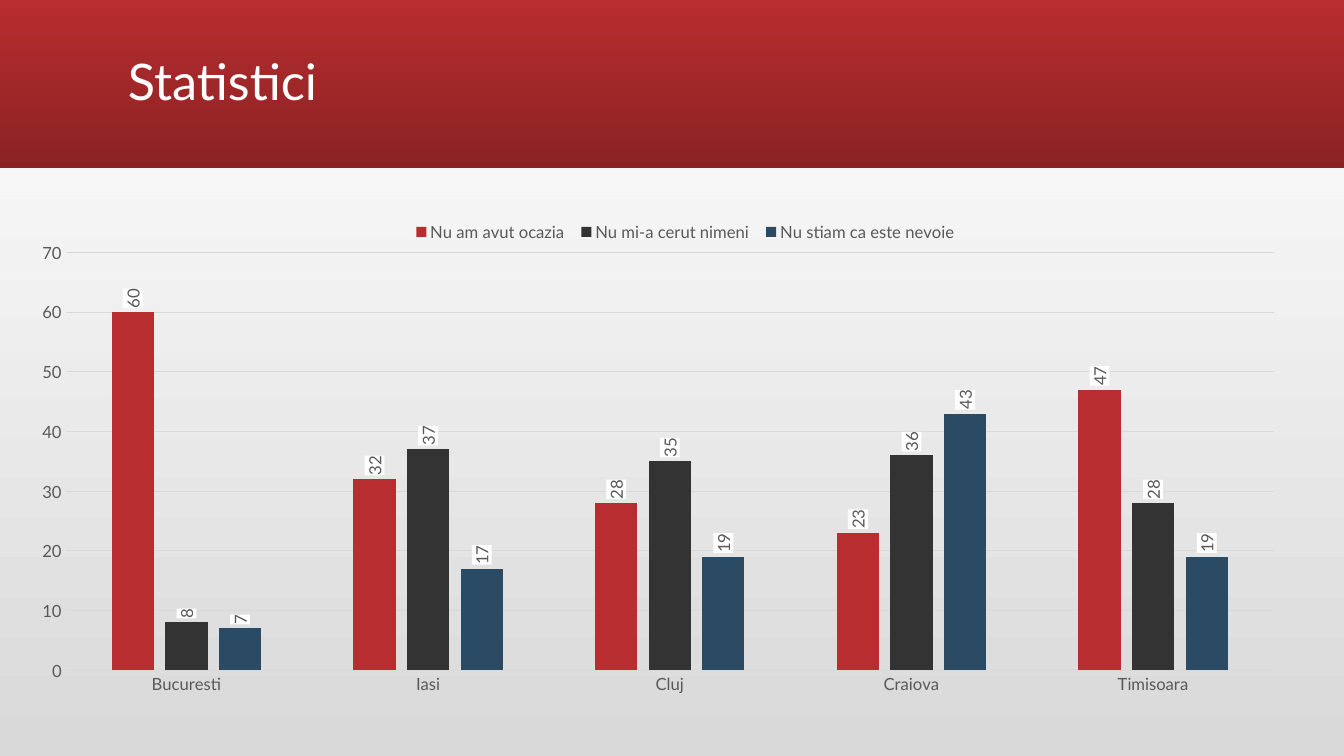
from lxml.etree import SubElement
from pptx import Presentation
from pptx.chart.data import CategoryChartData
from pptx.dml.color import RGBColor
from pptx.enum.chart import XL_CHART_TYPE, XL_LABEL_POSITION, XL_LEGEND_POSITION, XL_TICK_MARK
from pptx.enum.shapes import MSO_SHAPE
from pptx.enum.text import MSO_ANCHOR
from pptx.oxml import parse_xml
from pptx.oxml.ns import nsdecls, qn
from pptx.util import Inches, Pt

RED = RGBColor(0xB8, 0x2D, 0x2F)
DARK_RED = RGBColor(0x8A, 0x22, 0x23)
CHARCOAL = RGBColor(0x33, 0x33, 0x33)
NAVY = RGBColor(0x2B, 0x4A, 0x63)
TEXT_GRAY = RGBColor(0x59, 0x59, 0x59)
LIGHT_GRAY = RGBColor(0xD9, 0xD9, 0xD9)
WHITE = RGBColor(0xFF, 0xFF, 0xFF)

CITIES = ["Bucuresti", "Iasi", "Cluj", "Craiova", "Timisoara"]
ANSWERS = [
    ("Nu am avut ocazia", [60, 32, 28, 23, 47], RED),
    ("Nu mi-a cerut nimeni", [8, 37, 35, 36, 28], CHARCOAL),
    ("Nu stiam ca este nevoie", [7, 17, 19, 43, 19], NAVY),
]


def format_font(font, size=12, color=TEXT_GRAY, name="Lato"):
    font.size = Pt(size)
    font.name = name
    font.color.rgb = color


def add_text(frame, text, spacing=1.0, **font_format):
    paragraph = frame.paragraphs[0]
    paragraph.line_spacing = spacing
    run = paragraph.add_run()
    run.text = text
    format_font(run.font, **font_format)


def set_gradient(fill, colors, angle):
    fill.gradient()
    fill.gradient_angle = angle
    for stop, color in zip(fill.gradient_stops, colors):
        stop.color.rgb = color


def place(element, index, box, inner=False):
    for layout in element.findall(qn("c:layout")):
        element.remove(layout)
    layout = parse_xml(f"<c:layout {nsdecls('c')}/>")
    manual = SubElement(layout, qn("c:manualLayout"))
    settings = [("layoutTarget", "inner")] if inner else []
    settings += [("xMode", "edge"), ("yMode", "edge"), *zip("xywh", box)]
    for tag, value in settings:
        SubElement(manual, qn(f"c:{tag}")).set("val", str(value))
    element.insert(index, layout)


class StatisticsSlide:
    def __init__(self, presentation):
        self.slide = presentation.slides.add_slide(presentation.slide_layouts[6])
        set_gradient(self.slide.background.fill, (LIGHT_GRAY, WHITE), 90)

    def add_band(self, left, top, width, height):
        shape = self.slide.shapes.add_shape(
            MSO_SHAPE.RECTANGLE, Inches(left), Inches(top), Inches(width), Inches(height))
        shape.shadow.inherit = False
        shape.line.fill.background()
        set_gradient(shape.fill, (RED, DARK_RED), 270)

    def add_title(self, text, left, top, width, height):
        box = self.slide.shapes.add_textbox(
            Inches(left), Inches(top), Inches(width), Inches(height))
        box.text_frame.word_wrap = True
        box.text_frame.vertical_anchor = MSO_ANCHOR.MIDDLE
        add_text(box.text_frame, text, spacing=0.9, size=36, color=WHITE)

    def add_chart(self, left, top, width, height):
        data = CategoryChartData()
        data.categories = CITIES
        for name, values, _ in ANSWERS:
            data.add_series(name, values)
        chart = self.slide.shapes.add_chart(
            XL_CHART_TYPE.COLUMN_CLUSTERED, Inches(left), Inches(top),
            Inches(width), Inches(height), data).chart
        chart.has_title = False
        format_font(chart.font)
        plot = chart.plots[0]
        plot.gap_width = 219
        plot.overlap = -27
        plot.vary_by_categories = False
        for series, (_, _, color) in zip(plot.series, ANSWERS):
            series.format.fill.solid()
            series.format.fill.fore_color.rgb = color
            self.add_labels(series)
        self.style_axes(chart)
        self.add_legend(chart)
        place(chart._chartSpace.chart.plotArea, 0, (0.008, 0.101, 0.969, 0.829), inner=True)

    def add_labels(self, series):
        labels = series.data_labels
        labels.show_value = True
        labels.position = XL_LABEL_POSITION.OUTSIDE_END
        format_font(labels.font)
        text_properties = labels._element.find(qn("c:txPr"))
        body = text_properties.find(qn("a:bodyPr"))
        body.set("rot", "-5400000")
        body.set("vert", "horz")
        text_properties.addprevious(parse_xml(
            f"<c:spPr {nsdecls('c', 'a')}><a:solidFill>"
            f'<a:srgbClr val="{WHITE}"/></a:solidFill></c:spPr>'))

    def style_axes(self, chart):
        for axis in (chart.category_axis, chart.value_axis):
            axis.major_tick_mark = axis.minor_tick_mark = XL_TICK_MARK.NONE
            format_font(axis.tick_labels.font)
        chart.value_axis.format.line.fill.background()
        chart.value_axis.minimum_scale = 0
        chart.value_axis.maximum_scale = 70
        chart.value_axis.major_unit = 10
        for line in (chart.category_axis.format.line,
                     chart.value_axis.major_gridlines.format.line):
            line.color.rgb = LIGHT_GRAY
            line.width = Pt(0.75)

    def add_legend(self, chart):
        chart.has_legend = True
        legend = chart.legend
        legend.position = XL_LEGEND_POSITION.BOTTOM
        legend.include_in_layout = False
        format_font(legend.font)
        place(legend._element, 1, (0.28, 0.03, 0.45, 0.06))


def main():
    presentation = Presentation()
    presentation.slide_width = Inches(13.33)
    presentation.slide_height = Inches(7.5)
    statistics = StatisticsSlide(presentation)
    statistics.add_band(0, 0, 13.33, 1.67)
    statistics.add_title("Statistici", 1.17, 0.11, 11, 1.45)
    statistics.add_chart(0.42, 2, 12.5, 5)
    presentation.save("out.pptx")


if __name__ == "__main__":
    main()
